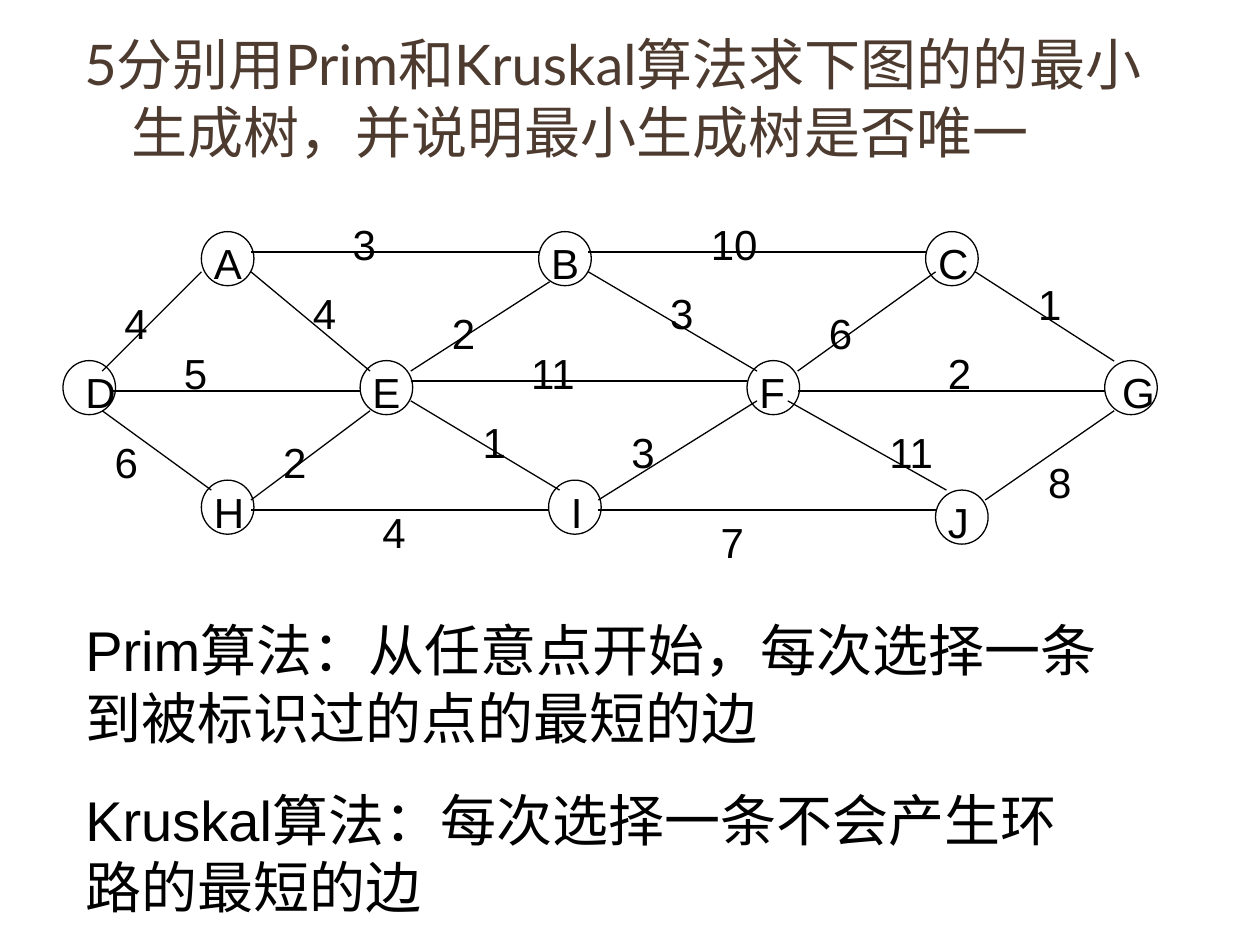
from pptx import Presentation
from pptx.dml.color import RGBColor
from pptx.enum.shapes import MSO_CONNECTOR, MSO_SHAPE
from pptx.oxml.ns import qn
from pptx.util import Cm, Pt
from lxml import etree

OVAL = MSO_SHAPE.OVAL
LINE = MSO_CONNECTOR.STRAIGHT

COLORS = {"title": "4E3B30", "ink": "000000"}
NODE_W, NODE_H = 1.06, 1.09
LABEL_H = 1.27

# name, left, top, label shift, label width
NODES = [
    ("A", 4.06, 4.67, 0, 1),
    ("B", 10.86, 4.67, 0, 1.4),
    ("C", 18.66, 4.67, 0, 1.2),
    ("D", 1.27, 7.27, 0.2, 0.6),
    ("E", 7.26, 7.27, 0, 1.4),
    ("F", 15.06, 7.27, 0, 1.2),
    ("G", 22.27, 7.27, 0.1, 1.4),
    ("H", 4.06, 9.68, 0, 1.2),
    ("I", 11.06, 9.68, 0.2, 1.4),
    ("J", 18.86, 9.88, 0, 1.4),
]

# start, end, weight, label left and top, label width
EDGES = [
    ((2.06, 7.48), (4.06, 5.48), "4", (2.26, 5.88), 1),
    ((2.06, 8.28), (4.26, 9.88), "6", (2.06, 8.68), 1.2),
    ((2.26, 7.88), (7.26, 7.88), "5", (3.46, 6.88), 1.2),
    ((5.06, 5.08), (10.86, 5.08), "3", (6.86, 4.28), 1.4),
    ((5.06, 10.08), (7.46, 8.28), "2", (5.46, 8.68), 0.8),
    ((5.06, 5.48), (7.46, 7.48), "4", (6.06, 5.68), 1),
    ((5.06, 10.28), (11.06, 10.28), "4", (7.46, 10.08), 1.2),
    ((8.28, 8.08), (11.28, 9.88), "1", (9.48, 8.28), 0.8),
    ((8.28, 7.48), (11.08, 5.68), "2", (8.86, 6.08), 0.6),
    ((11.86, 5.48), (15.26, 7.48), "3", (13.26, 5.68), 1),
    ((12.06, 10.08), (15.26, 8.08), "3", (12.48, 8.48), 0.8),
    ((8.28, 7.68), (15.06, 7.68), "11", (10.46, 6.88), 1.5),
    ((16.08, 7.48), (18.86, 5.48), "6", (16.46, 6.08), 1),
    ((16.08, 7.88), (22.28, 7.88), "2", (18.86, 6.88), 0.8),
    ((12.06, 10.28), (18.86, 10.28), "7", (14.28, 10.28), 1.2),
    ((15.88, 8.08), (19.08, 9.88), "11", (17.68, 8.48), 1.8),
    ((19.86, 10.08), (22.46, 8.28), "8", (20.88, 9.08), 0.8),
    ((19.66, 5.48), (22.46, 7.28), "1", (20.68, 5.48), 1),
    ((11.86, 5.08), (18.66, 5.08), "10", (14.08, 4.28), 1.6),
]

TITLE = "5分别用Prim和Kruskal算法求下图的的最小生成树，并说明最小生成树是否唯一"
NOTES = [
    "Prim算法：从任意点开始，每次选择一条到被标识过的点的最短的边",
    "Kruskal算法：每次选择一条不会产生环路的最短的边",
]


def color(name):
    return RGBColor.from_string(COLORS[name])


def add_text(shapes, box, lines, size, font="Arial", tone="ink", gap=0):
    frame = shapes.add_textbox(*map(Cm, box)).text_frame
    frame.word_wrap = True
    frame.text = "\n".join(lines)
    for index, para in enumerate(frame.paragraphs):
        if index:
            para.space_before = Pt(gap)
        for run in para.runs:
            run.font.size = Pt(size)
            run.font.name = font
            run.font.color.rgb = color(tone)
    return frame


def set_line(shape):
    shape.line.color.rgb = color("ink")
    shape.line.width = Pt(0.75)


def add_node(shapes, left, top):
    node = shapes.add_shape(OVAL, *map(Cm, (left, top, NODE_W, NODE_H)))
    node.shadow.inherit = False
    node.fill.background()
    set_line(node)


def add_edge(shapes, start, end):
    edge = shapes.add_connector(LINE, *map(Cm, start + end))
    set_line(edge)
    etree.SubElement(edge._element.spPr, qn("a:effectLst"))


def add_title(shapes):
    frame = add_text(shapes, (1.45, 0.48, 22.86, 16.1), [TITLE], 32, "Lato", "title")
    props = frame.paragraphs[0]._p.get_or_add_pPr()
    props.set("marL", str(Cm(0.96)))
    props.set("indent", str(Cm(-0.96)))


def add_graph(shapes):
    graph = shapes.add_group_shape().shapes
    for name, left, top, shift, width in NODES:
        add_node(graph, left, top)
    for start, end, weight, spot, width in EDGES:
        add_edge(graph, start, end)
    for start, end, weight, spot, width in EDGES:
        add_text(graph, (*spot, width, LABEL_H), [weight], 24)
    for name, left, top, shift, width in NODES:
        add_text(graph, (left + shift, top, width, LABEL_H), [name], 24)


def main():
    deck = Presentation()
    deck.slide_width, deck.slide_height = Cm(25.4), Cm(19.05)
    shapes = deck.slides.add_slide(deck.slide_layouts[6]).shapes
    add_title(shapes)
    add_graph(shapes)
    add_text(shapes, (1.47, 12.29, 21.21, 6.38), NOTES, 32, gap=20)
    deck.save("out.pptx")


if __name__ == "__main__":
    main()
